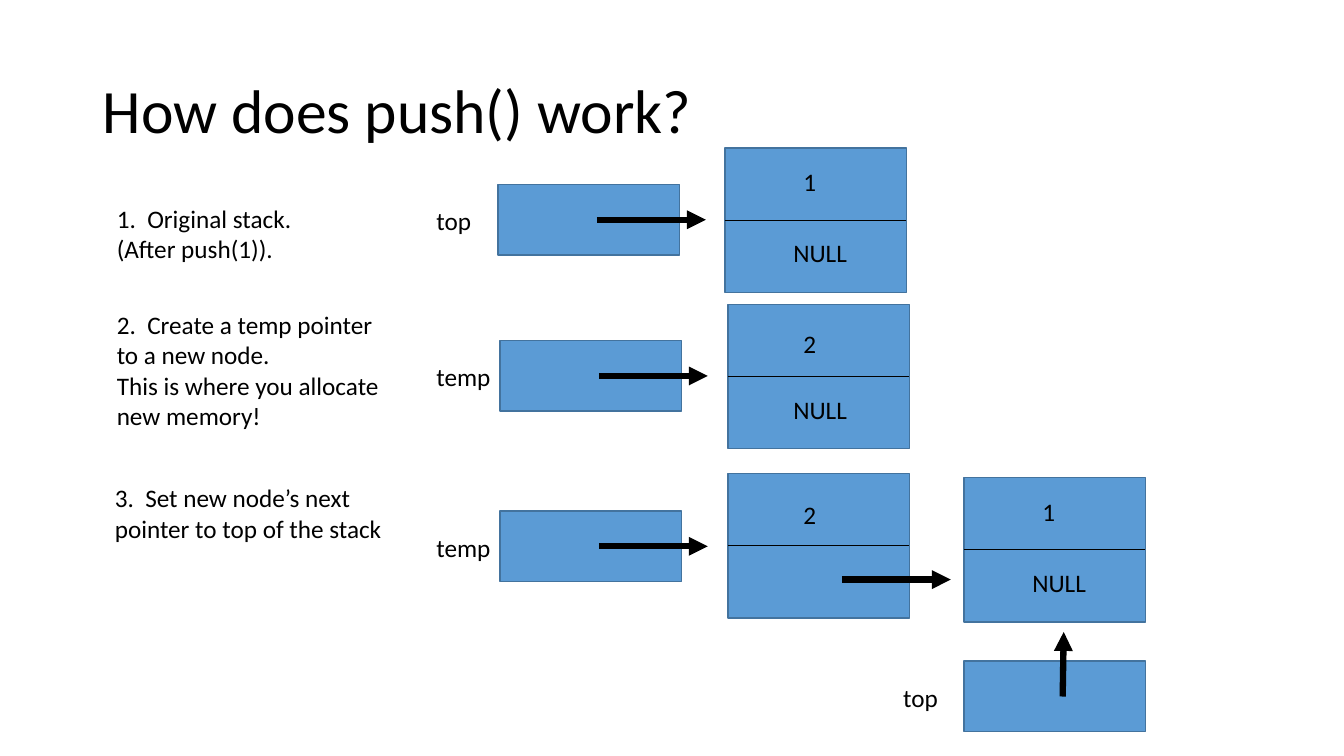
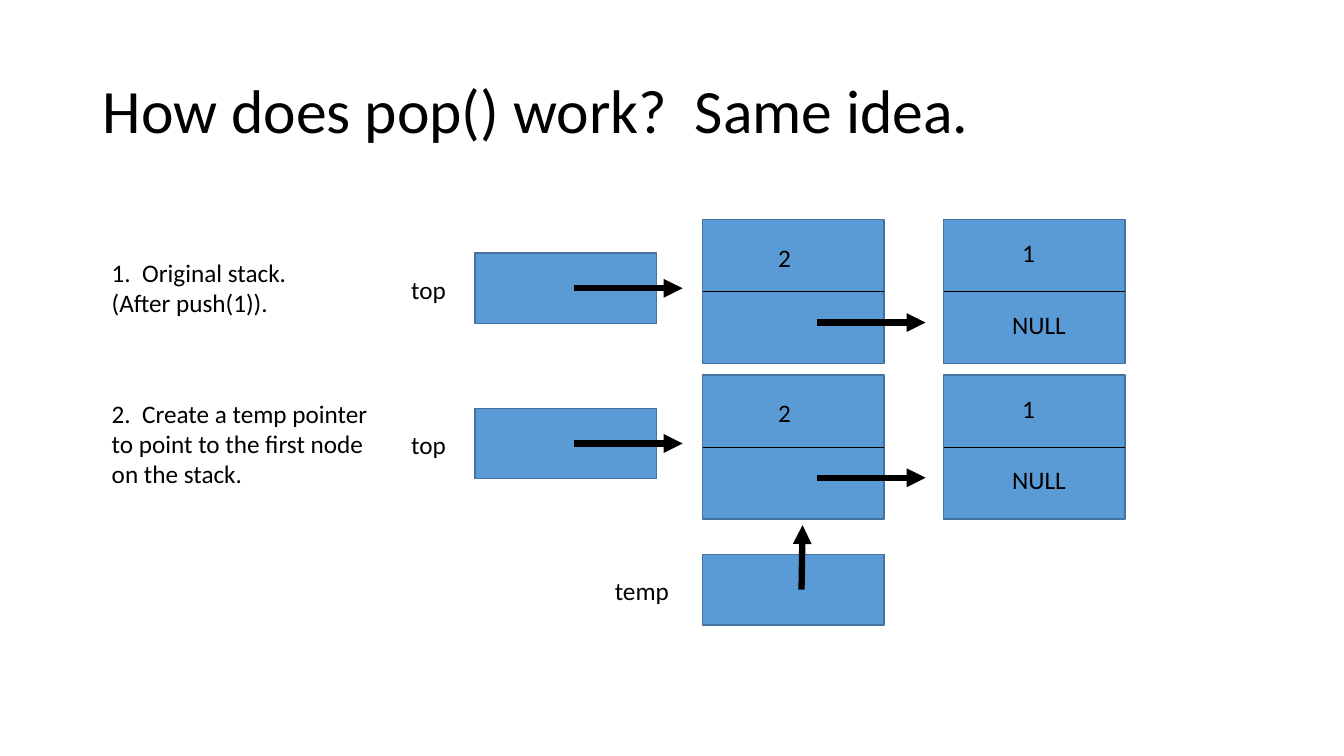
from dataclasses import dataclass, field

from lxml import etree
from pptx import Presentation
from pptx.dml.color import RGBColor
from pptx.enum import shapes, text
from pptx.oxml import ns
from pptx.util import Inches, Pt


@dataclass(frozen=True)
class Theme:
    font: str = "Calibri"
    ink: RGBColor = RGBColor.from_string("000000")
    box_fill: RGBColor = RGBColor.from_string("5B9BD5")
    box_line: RGBColor = RGBColor.from_string("43739E")
    title_size: float = 44
    body_size: float = 18
    border: float = 1
    divider: float = 0.5
    arrow: float = 4.5


THEME = Theme()
BOX_W, NODE_H, POINTER_H = 1.8, 1.43, 0.7
TEXT_H, VALUE_W, ARROW_LEN = 0.4, 1.27, 1.08
LABEL_W = {"top": 0.55, "temp": 0.74, "NULL": 0.74}


@dataclass(frozen=True)
class Step:
    """Explanation in the left column."""
    x: float
    y: float
    w: float
    h: float
    lines: tuple[str, ...]


@dataclass(frozen=True)
class Node:
    """List node: value above, NULL or an arrow to the next node below."""
    x: float
    y: float
    value: str
    value_dx: float = 0.68
    value_dy: float = 0.13
    linked: bool = False
    next_dy: float = 1.02


@dataclass(frozen=True)
class Pointer:
    """Named pointer box with an arrow to the right or upwards."""
    x: float
    y: float
    name: str
    name_dx: float = -0.73
    up: bool = False


@dataclass(frozen=True)
class StackSlide:
    title: str
    steps: list[Step] = field(default_factory=list)
    nodes: list[Node] = field(default_factory=list)
    pointers: list[Pointer] = field(default_factory=list)


# Basic parts
def set_all(target, values: dict) -> None:
    for name, value in values.items():
        setattr(target, name, value)


def add_text(s, x: float, y: float, w: float, h: float, lines: tuple[str, ...],
             size: float = THEME.body_size, frame: dict | None = None,
             spacing: float = 1.0) -> None:
    tf = s.shapes.add_textbox(*map(Inches, (x, y, w, h))).text_frame
    set_all(tf, {"word_wrap": True, **(frame or {})})
    for i, line in enumerate(lines):
        p = tf.paragraphs[0] if i == 0 else tf.add_paragraph()
        p.line_spacing = spacing
        r = p.add_run()
        r.text = line
        set_all(r.font, {"name": THEME.font, "size": Pt(size)})
        r.font.color.rgb = THEME.ink


def add_label(s, x: float, y: float, label: str) -> None:
    add_text(s, x, y, LABEL_W[label], TEXT_H, (label,), frame={"word_wrap": False})


def add_box(s, x: float, y: float, h: float) -> None:
    sp = s.shapes.add_shape(shapes.MSO_SHAPE.RECTANGLE,
                            *map(Inches, (x, y, BOX_W, h)))
    sp.shadow.inherit = False
    sp.fill.solid()
    sp.fill.fore_color.rgb = THEME.box_fill
    sp.line.color.rgb = THEME.box_line
    sp.line.width = Pt(THEME.border)


def add_line(s, x1: float, y1: float, x2: float, y2: float,
             width: float, arrow: bool = False) -> None:
    line = s.shapes.add_connector(shapes.MSO_CONNECTOR.STRAIGHT,
                                  *map(Inches, (x1, y1, x2, y2)))
    line.line.color.rgb = THEME.ink
    line.line.width = Pt(width)
    sp_pr = line.element.spPr
    if arrow:
        ln = sp_pr.find(ns.qn("a:ln"))
        etree.SubElement(ln, ns.qn("a:tailEnd"), type="triangle")
    etree.SubElement(sp_pr, ns.qn("a:effectLst"))


def add_arrow_right(s, x: float, y: float) -> None:
    add_line(s, x, y, x + ARROW_LEN, y, THEME.arrow, arrow=True)


# Diagram parts
def add_node(s, n: Node) -> None:
    add_box(s, n.x, n.y, NODE_H)
    middle = n.y + NODE_H / 2
    add_line(s, n.x, middle, n.x + BOX_W, middle, THEME.divider)
    value_x = n.x + n.value_dx
    add_text(s, value_x, n.y + n.value_dy, VALUE_W, TEXT_H, (n.value,))
    if n.linked:
        add_arrow_right(s, n.x + 1.13, n.y + n.next_dy)
    else:
        add_label(s, value_x - 0.1, n.y + 0.84, "NULL")


def add_pointer(s, ptr: Pointer) -> None:
    add_box(s, ptr.x, ptr.y, POINTER_H)
    add_label(s, ptr.x + ptr.name_dx, ptr.y + 0.16, ptr.name)
    x, y = ptr.x + 0.98, ptr.y + POINTER_H / 2
    if ptr.up:
        add_line(s, x, y, x + 0.01, ptr.y - 0.29, THEME.arrow, arrow=True)
    else:
        add_arrow_right(s, x, y)


def add_stack_slide(prs, content: StackSlide) -> None:
    s = prs.slides.add_slide(prs.slide_layouts[6])
    add_text(s, 0.92, 0.4, 11.5, 1.45, (content.title,), THEME.title_size,
             {"vertical_anchor": text.MSO_ANCHOR.MIDDLE}, spacing=0.9)
    for step in content.steps:
        add_text(s, step.x, step.y, step.w, step.h, step.lines)
    for node in content.nodes:
        add_node(s, node)
    for pointer in content.pointers:
        add_pointer(s, pointer)


# Content
ORIGINAL_STACK = ("1.  Original stack.  (After push(1)).",)
POP_ROWS = (2.18, 3.72)

SLIDES = [
    StackSlide(
        "How does push() work?",
        steps=[
            Step(1.06, 1.97, 2.08, 0.71, ORIGINAL_STACK),
            Step(1.06, 3.02, 2.92, 1.31,
                 ("2.  Create a temp pointer to a new node.",
                  "This is where you allocate new memory!")),
            Step(1.04, 4.74, 2.92, 0.71,
                 ("3.  Set new node’s next pointer to top of the stack",)),
        ],
        nodes=[
            Node(7.19, 1.47, "1"),
            Node(7.22, 3.02, "2", 0.65, 0.19),
            Node(7.22, 4.7, "2", 0.65, 0.2, linked=True, next_dy=1.05),
            Node(9.56, 4.74, "1"),
        ],
        pointers=[
            Pointer(4.94, 1.83, "top", -0.71),
            Pointer(4.96, 3.38, "temp"),
            Pointer(4.96, 5.07, "temp"),
            Pointer(9.56, 6.56, "top", -0.7, up=True),
        ],
    ),
    StackSlide(
        "How does pop() work?  Same idea.",
        steps=[
            Step(1.01, 2.5, 2.08, 0.71, ORIGINAL_STACK),
            Step(1.01, 3.9, 2.92, 1.01,
                 ("2.  Create a temp pointer to point to the first node "
                  "on the stack.",)),
        ],
        nodes=[node for y in POP_ROWS
               for node in (Node(6.97, y, "2", 0.65, 0.17, linked=True),
                            Node(9.36, y, "1"))],
        pointers=[*(Pointer(4.71, y + 0.33, "top") for y in POP_ROWS),
                  Pointer(6.97, 5.5, "temp", -0.97, up=True)],
    ),
]


def main() -> None:
    prs = Presentation()
    set_all(prs, {"slide_width": Inches(13.33), "slide_height": Inches(7.5)})
    for content in SLIDES:
        add_stack_slide(prs, content)
    prs.save("out.pptx")


if __name__ == "__main__":
    main()
